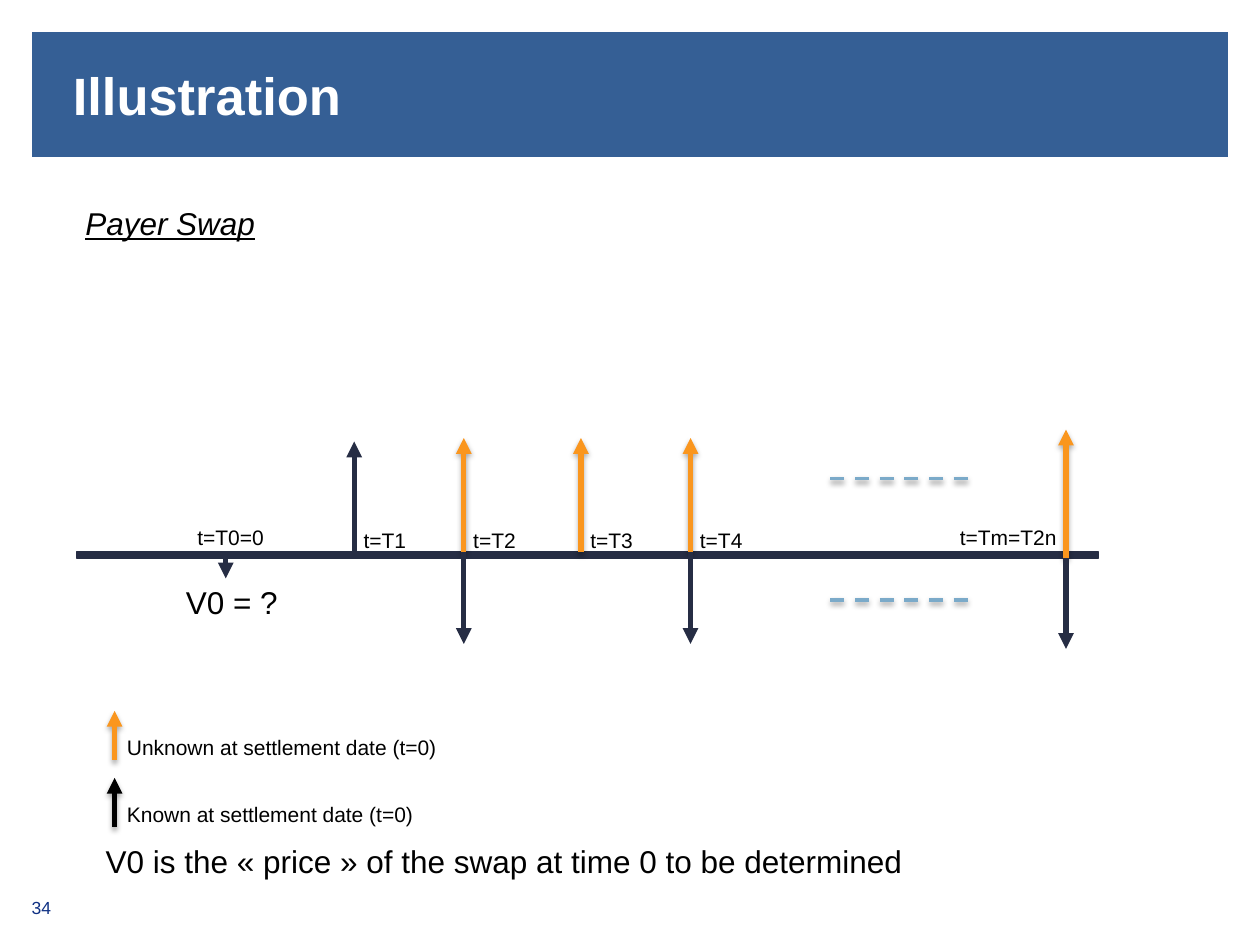
from lxml import etree
from pptx import Presentation
from pptx import util as u
from pptx.dml.color import RGBColor
from pptx.enum import dml, shapes, text
from pptx.oxml import ns

BLUE = RGBColor(0x35, 0x5F, 0x95)
WHITE = RGBColor(0xFF, 0xFF, 0xFF)
BLACK = RGBColor(0, 0, 0)
NAVY = RGBColor(0x26, 0x2D, 0x44)
ORANGE = RGBColor(0xFA, 0x96, 0x1E)
SKY = RGBColor(0x7B, 0xAA, 0xC9)
NUMBER_BLUE = RGBColor(0x10, 0x31, 0x84)

AXIS_TOP, AXIS_BOTTOM = 11.13, 11.25
TICKS = {"t=T1": 7.14, "t=T2": 9.35, "t=T3": 11.71, "t=T4": 13.92}
LAST = 21.49


def add_bar(s, box, color):
    """Add a filled rectangle with an outline of the same colour."""
    sp = s.shapes.add_shape(shapes.MSO_SHAPE.RECTANGLE, *map(u.Cm, box))
    sp.shadow.inherit = False
    sp.fill.solid()
    sp.fill.fore_color.rgb = color
    sp.line.color.rgb = color
    sp.line.width = u.Pt(0.75)


def write(tf, content, align=text.PP_ALIGN.LEFT, color=BLACK, **formats):
    """Write one formatted paragraph into a text frame."""
    p = tf.paragraphs[0]
    p.alignment = align
    r = p.add_run()
    r.text = content
    for name, value in {"name": "Arial", "size": u.Pt(12), **formats}.items():
        setattr(r.font, name, value)
    r.font.color.rgb = color


def clear_margins(tf):
    """Set all four insets of a text frame to zero."""
    for side in ("left", "top", "right", "bottom"):
        setattr(tf, f"margin_{side}", 0)


def add_text(s, content, box, **formats):
    """Add a wrapping text box and return its frame."""
    tf = s.shapes.add_textbox(*map(u.Cm, box)).text_frame
    tf.word_wrap = True
    tf.auto_size = text.MSO_AUTO_SIZE.SHAPE_TO_FIT_TEXT
    write(tf, content, **formats)
    return tf


def add_line(s, start, end, color, width, shadow=0):
    """Add a straight line with an optional shadow of given opacity in percent."""
    sp = s.shapes.add_connector(
        shapes.MSO_CONNECTOR.STRAIGHT, *map(u.Cm, (*start, *end)))
    sp.line.color.rgb = color
    sp.line.width = u.Pt(width)
    effects = etree.SubElement(sp._element.spPr, ns.qn("a:effectLst"))
    if shadow:
        outer = etree.SubElement(
            effects, ns.qn("a:outerShdw"), blurRad=str(u.Pt(3.1)),
            dist=str(u.Pt(1.8)), dir="5400000", rotWithShape="0")
        shade = etree.SubElement(outer, ns.qn("a:srgbClr"), val=str(BLACK))
        etree.SubElement(shade, ns.qn("a:alpha"), val=str(shadow * 1000))
    return sp


def add_arrow(s, x, start, end, color, shadow=0):
    """Add a vertical cash flow arrow."""
    sp = add_line(s, (x, start), (x, end), color, 3, shadow)
    etree.SubElement(sp.line._get_or_add_ln(), ns.qn("a:tailEnd"), type="triangle")


def add_title(s, content):
    """Place and format the title placeholder."""
    sp = s.shapes.title
    box = {"left": 1.47, "top": 0.64, "width": 19.25, "height": 2.54}
    for name, value in box.items():
        setattr(sp, name, u.Cm(value))
    tf = sp.text_frame
    clear_margins(tf)
    tf.vertical_anchor = text.MSO_ANCHOR.MIDDLE
    write(tf, content, color=WHITE, size=u.Pt(30), bold=True)


def add_timeline(s):
    """Draw the time axis with its cash flows and labels."""
    center = {"align": text.PP_ALIGN.CENTER}
    add_bar(s, (1.55, AXIS_TOP, 20.6, AXIS_BOTTOM - AXIS_TOP), NAVY)
    for label, x in TICKS.items():
        add_text(s, label, (x - 0.46, 10.52, 2.16, 0.76), **center)
    add_text(s, "t=T0=0", (3.23, 10.44, 2.84, 0.76), **center)
    add_text(s, "t=Tm=T2n", (18.75, 10.44, 3.15, 0.76), **center)
    add_text(s, "V0 = ?", (3.33, 11.63, 2.69, 1.02), size=u.Pt(18), **center)

    add_arrow(s, 4.55, AXIS_BOTTOM, 11.66, NAVY)
    add_arrow(s, TICKS["t=T1"], AXIS_BOTTOM, 8.9, NAVY)
    for label in ("t=T2", "t=T3", "t=T4"):
        add_arrow(s, TICKS[label], AXIS_TOP, 8.83, ORANGE, 35)
    for label in ("t=T2", "t=T4"):
        add_arrow(s, TICKS[label], AXIS_TOP, 12.98, NAVY)
    add_arrow(s, LAST, AXIS_BOTTOM, 8.66, ORANGE, 35)
    add_arrow(s, LAST, AXIS_BOTTOM, 13.08, NAVY)
    for y in (9.65, 12.09):
        sp = add_line(s, (16.74, y), (19.56, y), SKY, 2, 38)
        sp.line.dash_style = dml.MSO_LINE.DASH


def add_legend(s):
    """Explain the arrow colours."""
    entries = (("Unknown", ORANGE), ("Known", BLACK))
    for i, (word, color) in enumerate(entries):
        y = 14.33 + 1.35 * i
        add_arrow(s, 2.31, y + 0.99, y, color, 35)
        add_text(s, f"{word} at settlement date (t=0)", (2.31, y + 0.35, 8.97, 0.76))


def main():
    """Build the slide and save it."""
    prs = Presentation()
    prs.slide_width, prs.slide_height = u.Cm(25.4), u.Cm(19.05)
    s = prs.slides.add_slide(prs.slide_layouts[5])
    s.background.fill.solid()
    s.background.fill.fore_color.rgb = BLUE
    for box in ((0, 3.18, 25.4, 15.87), (0, 0, 0.64, 3.6),
                (24.76, 0, 0.64, 3.6), (0, 0, 25.4, 0.64)):
        add_bar(s, box, WHITE)
    add_title(s, "Illustration")
    clear_margins(add_text(s, "34", (0.64, 18.08, 0.84, 0.84),
                           color=NUMBER_BLUE, size=u.Pt(10)))
    add_text(s, "Payer Swap", (1.47, 3.99, 18.47, 1.02),
             size=u.Pt(18), italic=True, underline=True)
    add_timeline(s)
    add_legend(s)
    add_text(s, "V0 is the « price » of the swap at time 0 to be determined",
             (1.88, 16.84, 18.49, 1.02), size=u.Pt(18))
    prs.save("out.pptx")


if __name__ == "__main__":
    main()
